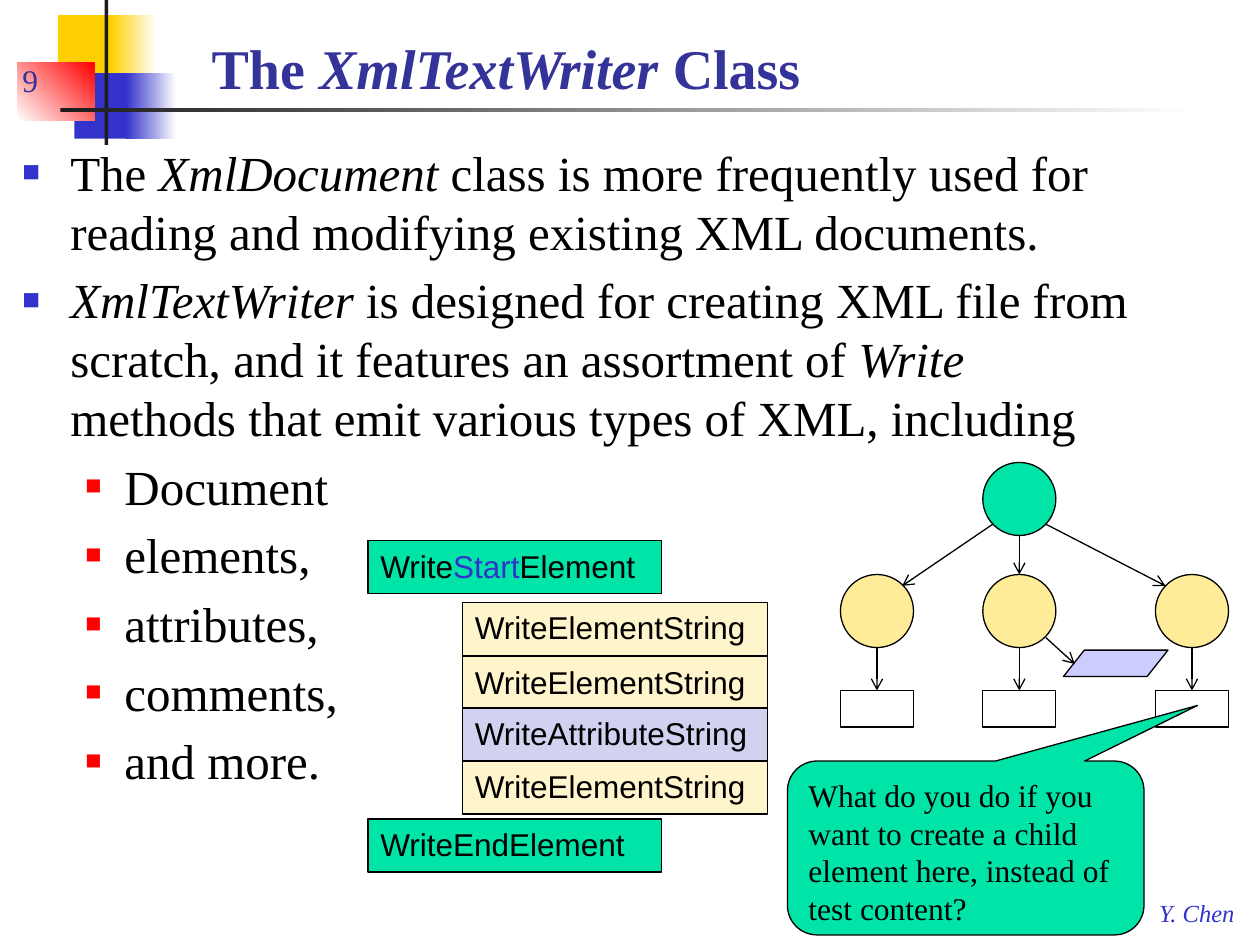
"""Build the XmlTextWriter class slide."""
from lxml import etree
from pptx import Presentation
from pptx import util as u
from pptx.dml.color import RGBColor
from pptx.enum import shapes, text
from pptx.oxml import ns

Inches, Pt = u.Inches, u.Pt
Preset = shapes.MSO_SHAPE
SERIF, SANS = "Times New Roman", "Arial"
COLORS = {
    "black": "000000", "white": "FFFFFF", "ink": "1C1C1C", "title": "333399",
    "blue": "3333CC", "gold": "FFCF01", "red": "FF0000", "green": "00E4A8",
    "yellow": "FFEC99", "cream": "FFF5CC", "lilac": "D1D1F0", "lavender": "CCCCFF",
}


def rgb(name):
    """Return the named colour."""
    return RGBColor.from_string(COLORS[name])


def write_runs(paragraph, runs, size=18, font=SERIF, color="black", bold=False):
    """Write runs, each a string or a (string, overrides) pair."""
    for item in runs:
        words, changes = (item, {}) if isinstance(item, str) else item
        run = paragraph.add_run()
        run.text = words
        run.font.size, run.font.name, run.font.bold = Pt(size), font, bold
        run.font.italic = changes.get("italic", False)
        run.font.color.rgb = rgb(changes.get("color", color))


def write_text(shape, runs, anchor="TOP", wrap=True, **style):
    """Write one left-aligned paragraph into a shape."""
    frame = shape.text_frame
    frame.word_wrap = wrap
    frame.auto_size = text.MSO_AUTO_SIZE.NONE
    frame.vertical_anchor = text.MSO_ANCHOR[anchor]
    paragraph = frame.paragraphs[0]
    paragraph.alignment = text.PP_ALIGN.LEFT
    write_runs(paragraph, runs, **style)


def add_box(slide, kind, left, top, width, height, fill, outlined=True):
    """Add a flat preset shape with an optional thin black outline."""
    shape = slide.shapes.add_shape(
        kind, Inches(left), Inches(top), Inches(width), Inches(height))
    shape.shadow.inherit = False
    shape.fill.solid()
    shape.fill.fore_color.rgb = rgb(fill)
    if outlined:
        shape.line.color.rgb = rgb("black")
        shape.line.width = Pt(0.75)
    else:
        shape.line.fill.background()
    return shape


def add_fade(slide, left, top, width, height, start, end, angle=0):
    """Add a rectangle that fades from one colour to another."""
    shape = add_box(slide, Preset.RECTANGLE, left, top, width, height, start, False)
    shape.fill.gradient()
    shape.fill.gradient_angle = angle
    for stop, color in zip(shape.fill.gradient_stops, (start, end)):
        stop.color.rgb = rgb(color)


def add_text_box(slide, left, top, width, height):
    """Add an empty text box."""
    return slide.shapes.add_textbox(
        Inches(left), Inches(top), Inches(width), Inches(height))


def add_arrow(slide, start, end):
    """Add a thin black line with an open arrowhead at its end."""
    points = [Inches(value) for value in (*start, *end)]
    arrow = slide.shapes.add_connector(shapes.MSO_CONNECTOR.STRAIGHT, *points)
    arrow.line.color.rgb = rgb("black")
    arrow.line.width = Pt(0.75)
    etree.SubElement(arrow.line._get_or_add_ln(), ns.qn("a:tailEnd"), type="arrow")
    etree.SubElement(arrow._element.spPr, ns.qn("a:effectLst"))


def add_ornament(slide, left, top):
    """Add the coloured squares and crossing bars of the heading."""
    for x, y, width, color, fade_x, fade_width in (
            (0.32, 0.12, 0.48, "gold", 0.74, 0.36),
            (0.45, 0.58, 0.46, "blue", 0.86, 0.4)):
        add_box(slide, Preset.RECTANGLE, left + x, top + y, width, 0.52, color, False)
        add_fade(slide, left + fade_x, top + y, fade_width, 0.52, color, "white")
    add_fade(slide, left, top + 0.5, 0.61, 0.46, "white", "red", angle=45)
    add_box(slide, Preset.RECTANGLE, left + 0.69, top, 0.03, 1.15, "ink", False)
    add_fade(slide, left + 0.34, top + 0.86, 9, 0.03, "ink", "white")


def add_heading(slide, left, top, width, height):
    """Place and format the title."""
    title = slide.shapes.title
    title.left, title.top = Inches(left), Inches(top)
    title.width, title.height = Inches(width), Inches(height)
    write_text(title, ["The ", ("XmlTextWriter ", {"italic": True}), "Class"],
               anchor="BOTTOM", size=32, color="title", bold=True)


def add_bullet(paragraph, indent, hanging, color, percent):
    """Give a paragraph a coloured square bullet."""
    properties = paragraph._p.get_or_add_pPr()
    properties.set("marL", str(Inches(indent)))
    properties.set("indent", str(-Inches(hanging)))
    bullet_color = etree.SubElement(properties, ns.qn("a:buClr"))
    etree.SubElement(bullet_color, ns.qn("a:srgbClr"), val=COLORS[color])
    etree.SubElement(properties, ns.qn("a:buSzPct"), val=str(percent * 1000))
    etree.SubElement(properties, ns.qn("a:buFont"), typeface=SANS)
    etree.SubElement(properties, ns.qn("a:buChar"), char="■")


def add_body(slide, left, top, width, height):
    """Add the two-level bulleted text."""
    italic = {"italic": True}
    points = [
        (0, ["The ", ("XmlDocument ", italic), "class is more frequently used for "
             "reading and modifying existing XML documents."]),
        (0, [("XmlTextWriter ", italic), "is designed for creating XML file from "
             "scratch, and it features an assortment of ", ("Write ", italic),
             "methods that emit various types of XML, including"]),
    ]
    points += [(1, [word]) for word in
               ("Document", "elements,", "attributes,", "comments,", "and more.")]
    levels = [(0.38, 0.38, "blue", 60), (0.81, 0.31, "red", 55)]
    frame = add_text_box(slide, left, top, width, height).text_frame
    frame.word_wrap = True
    for index, (level, runs) in enumerate(points):
        paragraph = frame.add_paragraph() if index else frame.paragraphs[0]
        paragraph.level = level
        add_bullet(paragraph, *levels[level])
        if index:
            paragraph.space_before = Pt(5.6)
        write_runs(paragraph, runs, size=28)


def add_method_calls(slide, left, top):
    """Add the nested stack of writer method calls."""
    start = ["Write", ("Start", {"color": "blue"}), "Element"]
    for x, y, width, fill, runs in (
            (0, 0, 2.33, "green", start),
            (0.75, 0.49, 2.42, "cream", ["WriteElementString"]),
            (0.75, 0.92, 2.42, "cream", ["WriteElementString"]),
            (0.75, 1.33, 2.42, "lilac", ["WriteAttributeString"]),
            (0.75, 1.75, 2.42, "cream", ["WriteElementString"]),
            (0, 2.21, 2.33, "green", ["WriteEndElement"])):
        box = add_box(slide, Preset.RECTANGLE, left + x, top + y, width, 0.42, fill)
        write_text(box, runs, font=SANS)


def add_tree(slide, left, top):
    """Add the document tree with its elements, texts and attribute."""
    size, child_top, leaf_top = 0.58, top + 0.89, top + 1.81
    columns = [left, left + 1.13, left + 2.5]
    middle = columns[1] + size / 2
    add_box(slide, Preset.OVAL, columns[1], top, size, size, "green")
    for x in columns:
        center = x + size / 2
        add_box(slide, Preset.OVAL, x, child_top, size, size, "yellow")
        add_box(slide, Preset.RECTANGLE, x, leaf_top, size, 0.29, "white")
        add_arrow(slide, (center, child_top + size), (center, leaf_top))
    add_box(slide, Preset.FLOWCHART_DATA, left + 1.77, top + 1.49, 0.83, 0.21, "lavender")
    add_arrow(slide, (middle - 0.21, top + 0.49), (left + 0.49, top + 0.98))
    add_arrow(slide, (middle, top + size), (middle, child_top))
    add_arrow(slide, (middle + 0.21, top + 0.49), (left + 2.58, top + 0.98))
    add_arrow(slide, (middle + 0.21, top + 1.39), (left + 1.86, top + 1.6))


def add_callout(slide, left, top, width, height):
    """Add the question that points at a leaf of the tree."""
    callout = add_box(slide, Preset.ROUNDED_RECTANGULAR_CALLOUT,
                      left, top, width, height, "green")
    for index, value in enumerate((0.65, -0.82, 0.17)):
        callout.adjustments[index] = value
    write_text(callout, ["What do you do if you want to create a child element here, "
                         "instead of test content?"])


def main():
    """Build and save the presentation."""
    presentation = Presentation()
    presentation.slide_width, presentation.slide_height = Inches(10), Inches(7.5)
    slide = presentation.slides.add_slide(presentation.slide_layouts[5])
    add_ornament(slide, 0.14, 0)
    write_text(add_text_box(slide, 9.1, 7.08, 0.82, 0.33),
               [("Y. Chen", {"italic": True})], wrap=False, size=14, color="blue")
    add_body(slide, 0.08, 1.08, 9.04, 5.62)
    write_text(add_text_box(slide, 0.08, 0.33, 0.83, 0.5), ["9"],
               anchor="BOTTOM", color="title")
    add_heading(slide, 1.58, 0.17, 8.33, 0.68)
    add_method_calls(slide, 2.92, 4.29)
    add_tree(slide, 6.67, 3.67)
    add_callout(slide, 6.25, 6.04, 2.83, 1.38)
    presentation.save("out.pptx")


if __name__ == "__main__":
    main()
